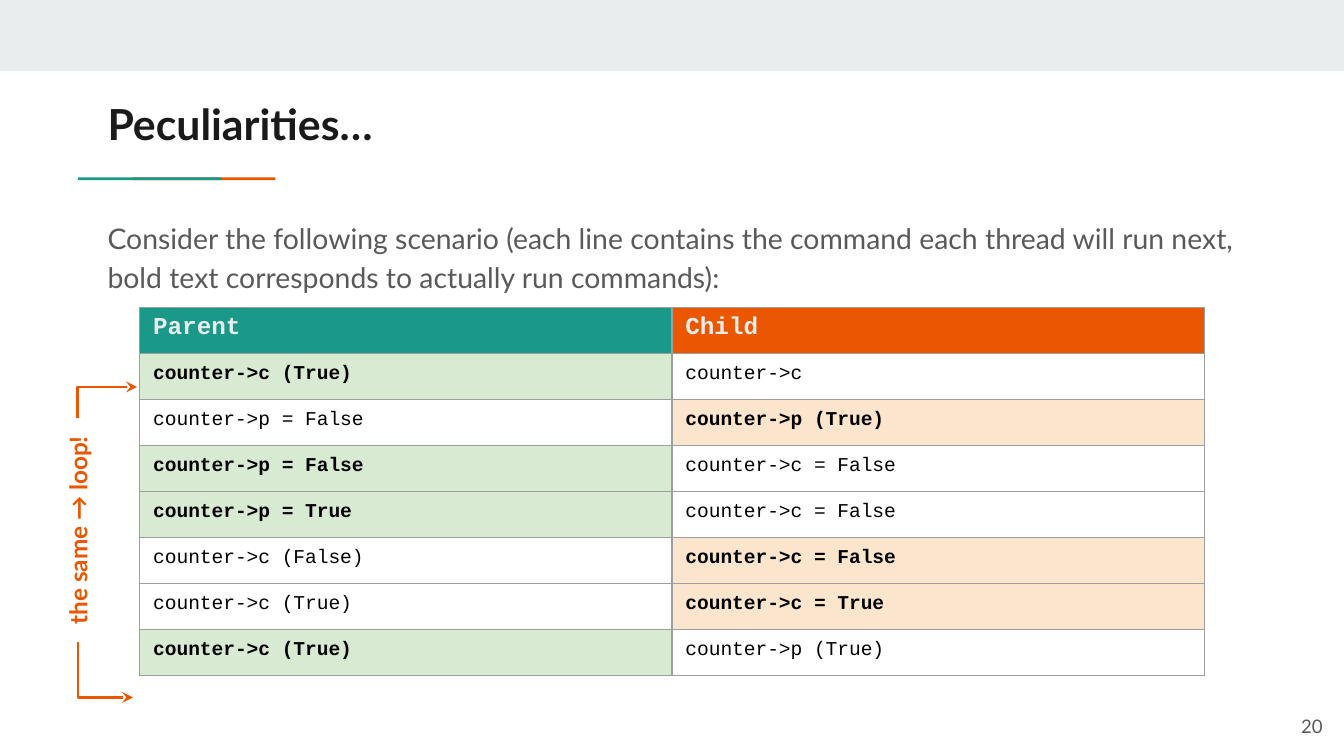
from pptx import Presentation
from pptx.dml.color import RGBColor
from pptx.enum.shapes import MSO_CONNECTOR as Connector, MSO_SHAPE as Shape
from pptx.enum.text import MSO_ANCHOR as Anchor, MSO_AUTO_SIZE as AutoSize, PP_ALIGN as Align
from pptx.oxml.ns import qn
from pptx.util import Inches, Pt
from lxml.etree import SubElement

COLORS = {
    "band": "E9EDEE", "teal": "1A9988", "orange": "EB5600", "title": "1A1A1A",
    "gray": "595959", "border": "9E9E9E", "black": "000000", "white": "FFFFFF",
    "parent run": "D9EAD3", "child run": "FCE5CD",
}
HEADERS = [("Parent", "teal"), ("Child", "orange")]
STEPS = [
    ("counter->c (True)", "counter->c", "parent"),
    ("counter->p = False", "counter->p (True)", "child"),
    ("counter->p = False", "counter->c = False", "parent"),
    ("counter->p = True", "counter->c = False", "parent"),
    ("counter->c (False)", "counter->c = False", "child"),
    ("counter->c (True)", "counter->c = True", "child"),
    ("counter->c (True)", "counter->p (True)", "parent"),
]


def rgb(color):
    return RGBColor.from_string(COLORS[color])


class SlideBuilder:
    text_font = "Lato"
    code_font = "Courier New"

    def __init__(self, slide):
        self.slide = slide

    def style(self, paragraph, size, color, bold=False, font=None):
        paragraph.font.name = font or self.text_font
        paragraph.font.size = Pt(size)
        paragraph.font.bold = bold
        paragraph.font.color.rgb = rgb(color)

    def fill_frame(self, shape, text, size, color, bold=False, align=Align.LEFT,
                   anchor=Anchor.TOP, side=0.1):
        frame = shape.text_frame
        frame.word_wrap = True
        frame.auto_size = AutoSize.NONE
        frame.vertical_anchor = anchor
        frame.margin_left = frame.margin_right = Inches(side)
        frame.margin_top = frame.margin_bottom = Inches(0.1)
        frame.text = text
        paragraph = frame.paragraphs[0]
        paragraph.alignment = align
        self.style(paragraph, size, color, bold)
        return paragraph

    def title(self, text, left, top, width, height):
        shape = self.slide.shapes.title
        shape.left, shape.top = Inches(left), Inches(top)
        shape.width, shape.height = Inches(width), Inches(height)
        self.fill_frame(shape, text, 22.9, "title", bold=True, side=0)

    def text(self, text, left, top, width, height, size, color, rotation=0, **options):
        shape = self.slide.shapes.add_textbox(
            Inches(left), Inches(top), Inches(width), Inches(height))
        shape.rotation = rotation
        return self.fill_frame(shape, text, size, color, **options)

    def bar(self, left, top, width, height, color):
        shape = self.slide.shapes.add_shape(
            Shape.RECTANGLE, Inches(left), Inches(top), Inches(width), Inches(height))
        shape.shadow.inherit = False
        shape.fill.solid()
        shape.fill.fore_color.rgb = rgb(color)
        shape.line.fill.background()

    def cell(self, cell, text, size, color, fill, bold):
        cell.fill.solid()
        cell.fill.fore_color.rgb = rgb(fill)
        cell.text = text
        self.style(cell.text_frame.paragraphs[0], size, color, bold, self.code_font)
        properties = cell._tc.get_or_add_tcPr()
        for index, side in enumerate(("a:lnL", "a:lnR", "a:lnT", "a:lnB")):
            line = properties.makeelement(qn(side), {"w": str(Pt(0.75))})
            properties.insert(index, line)
            solid = SubElement(line, qn("a:solidFill"))
            SubElement(solid, qn("a:srgbClr"), val=COLORS["border"])

    def table(self, headers, steps, left, top, width, height):
        table = self.slide.shapes.add_table(
            len(steps) + 1, len(headers), Inches(left), Inches(top),
            Inches(width), Inches(height)).table
        table.horz_banding = False
        for column, (name, color) in enumerate(headers):
            self.cell(table.cell(0, column), name, 13, "band", color, True)
        for row, (parent, child, runner) in enumerate(steps, 1):
            for column, (thread, command) in enumerate((("parent", parent), ("child", child))):
                runs = thread == runner
                cell = table.cell(row, column)
                self.cell(cell, command, 10.5, "black",
                          f"{thread} run" if runs else "white", runs)
                cell.text_frame.paragraphs[0].line_spacing = 1.15

    def elbow_arrow(self, start, end, color):
        connector = self.slide.shapes.add_connector(
            Connector.ELBOW, *(Inches(value) for value in start + end))
        connector.line.color.rgb = rgb(color)
        connector.line.width = Pt(1.5)
        properties = connector._element.spPr
        guides = properties.find(qn("a:prstGeom")).get_or_add_avLst()
        SubElement(guides, qn("a:gd"), name="adj1", fmla="val 0")
        SubElement(connector.line._get_or_add_ln(), qn("a:tailEnd"), type="stealth")
        SubElement(properties, qn("a:effectLst"))


def main():
    presentation = Presentation()
    presentation.slide_width = Inches(10)
    presentation.slide_height = presentation.slide_width * 9 // 16
    builder = SlideBuilder(presentation.slides.add_slide(presentation.slide_layouts[5]))

    builder.bar(0, 0, 10, 0.53, "band")
    builder.bar(0.99, 1.32, 1.06, 0.02, "orange")
    builder.bar(0.58, 1.32, 1.07, 0.02, "teal")
    builder.title("Peculiarities…", 0.8, 0.63, 8.41, 0.59)
    scenario = builder.text(
        "Consider the following scenario (each line contains the command each thread "
        "will run next, bold text corresponds to actually run commands):",
        0.8, 1.51, 8.41, 0.78, 15.2, "gray", side=0)
    scenario.line_spacing = 1.15
    scenario.space_after = Pt(12)
    builder.text("20", 9.34, 5.19, 0.6, 0.43, 10, "gray",
                 align=Align.RIGHT, anchor=Anchor.MIDDLE)

    builder.table(HEADERS, STEPS, 1.04, 2.29, 7.92, 2.74)
    builder.text("the same → loop!", -0.25, 3.73, 1.67, 0.43, 13, "orange",
                 rotation=270, bold=True, align=Align.CENTER)
    builder.elbow_arrow((0.58, 4.78), (0.99, 5.19), "orange")
    builder.elbow_arrow((0.58, 3.11), (1.02, 2.88), "orange")

    presentation.save("out.pptx")


if __name__ == "__main__":
    main()
